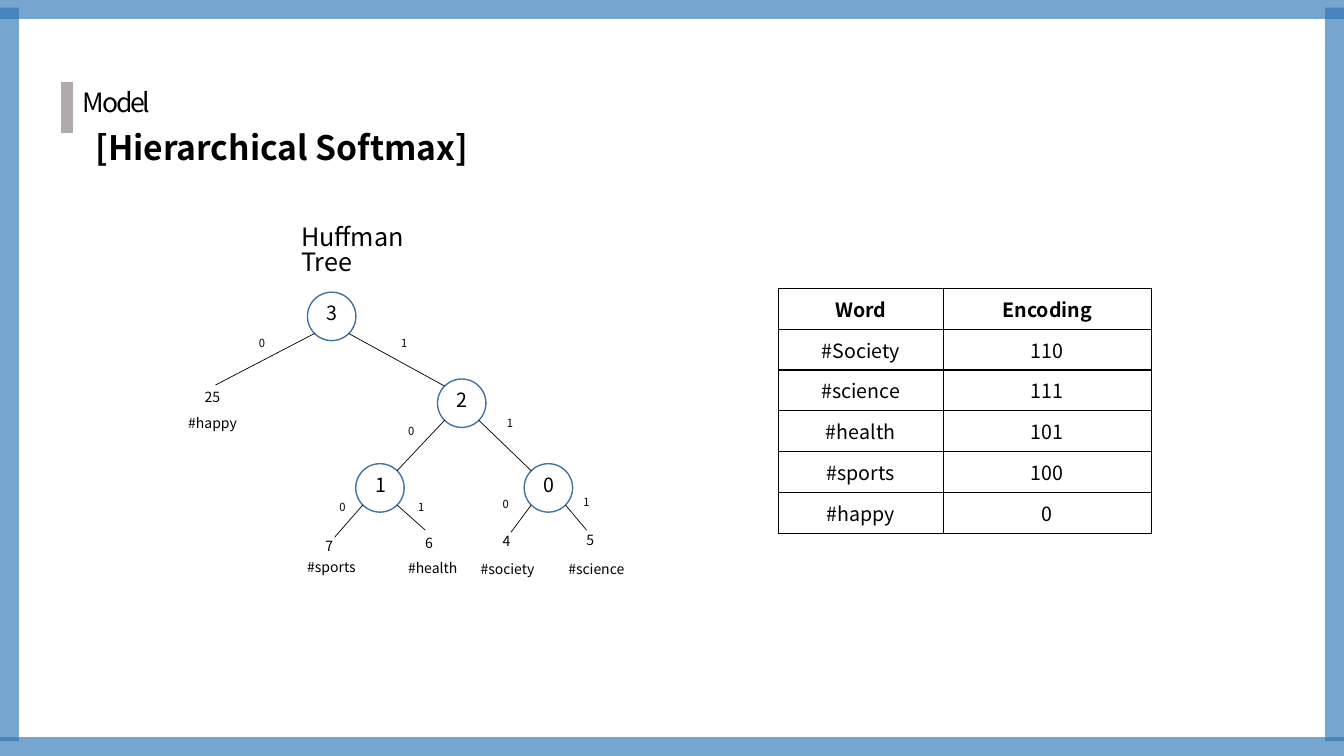
from lxml import etree
from pptx import Presentation
from pptx.dml.color import RGBColor
from pptx.enum.shapes import MSO_CONNECTOR, MSO_SHAPE
from pptx.enum.text import MSO_ANCHOR, PP_ALIGN
from pptx.oxml.ns import qn
from pptx.util import Pt

RECT = MSO_SHAPE.RECTANGLE
OVAL = MSO_SHAPE.OVAL
LINE = MSO_CONNECTOR.STRAIGHT
CENTER = PP_ALIGN.CENTER
MIDDLE = MSO_ANCHOR.MIDDLE

BLACK = RGBColor(0x00, 0x00, 0x00)
BLUE = RGBColor(0x2E, 0x75, 0xB6)
RING = RGBColor(0x43, 0x73, 0x9E)
GRAY = RGBColor(0xAF, 0xAB, 0xAB)

WIDE, HIGH, BAR = 960, 540, 13.5
RADIUS = 17.3
REACH = 12.2  # 45-degree offset from a node's centre to its rim

# name: centre
NODES = {"3": (236.9, 226), "2": (329.8, 288), "1": (271.4, 348.5), "0": (391.7, 348.5)}

# word: count, end of branch, place of count, place of word
LEAVES = {
    "#happy": ("25", (154, 275), (139, 275.8), (127.4, 294.5)),
    "#sports": ("7", (239, 383.8), (225.4, 382.3), (212.4, 397.4)),
    "#health": ("6", (303.8, 378.7), (296.6, 380.2), (284.4, 398.2)),
    "#society": ("4", (365, 380.2), (352, 378.7), (336.2, 398.9)),
    "#science": ("5", (419, 378.7), (411.8, 378), (398.9, 398.9)),
}

# parent, bit, child, place of bit
EDGES = [
    ("3", "0", "#happy", (177.8, 238.3)),
    ("3", "1", "2", (279.4, 238.3)),
    ("2", "0", "1", (284.4, 301)),
    ("2", "1", "0", (355, 295.2)),
    ("1", "0", "#sports", (235.4, 355)),
    ("1", "1", "#health", (291.6, 355)),
    ("0", "0", "#society", (352, 352.8)),
    ("0", "1", "#science", (409.7, 352)),
]

CODES = [
    ("Word", "Encoding"),
    ("#Society", "110"),
    ("#science", "111"),
    ("#health", "101"),
    ("#sports", "100"),
    ("#happy", "0"),
]


class Board:
    """Draws styled elements on one slide, with lengths in points."""

    font = "Noto Sans CJK KR"
    leading = 0.85

    def __init__(self, slide):
        self.shapes = slide.shapes

    def style(self, para, size, bold=False, track=0):
        for run in para.runs:
            run.font.name = self.font
            run.font.size = Pt(size)
            run.font.bold = bold
            run.font.color.rgb = BLACK
            props = run.font._element
            etree.SubElement(props, qn("a:ea")).set("typeface", self.font)
            if track:
                props.set("spc", str(int(track * 100)))

    def text(self, words, x, y, w, h, size, **look):
        frame = self.shapes.add_textbox(Pt(x), Pt(y), Pt(w), Pt(h)).text_frame
        frame.word_wrap = True
        frame.text = words
        para = frame.paragraphs[0]
        para.line_spacing = self.leading
        self.style(para, size, **look)

    def bar(self, x, y, w, h):
        shape = self.shapes.add_shape(RECT, Pt(x), Pt(y), Pt(w), Pt(h))
        shape.shadow.inherit = False
        shape.line.fill.background()
        shape.fill.solid()
        shape.fill.fore_color.rgb = BLUE
        color = shape._element.spPr.find(qn("a:solidFill"))[0]
        etree.SubElement(color, qn("a:alpha")).set("val", "65000")

    def ring(self, x, y):
        side = Pt(2 * RADIUS)
        shape = self.shapes.add_shape(OVAL, Pt(x - RADIUS), Pt(y - RADIUS), side, side)
        shape.shadow.inherit = False
        shape.fill.background()
        shape.line.color.rgb = RING
        shape.line.width = Pt(1)

    def line(self, start, end, color, width):
        ends = [Pt(v) for v in (*start, *end)]
        link = self.shapes.add_connector(LINE, *ends)
        link.line.color.rgb = color
        link.line.width = Pt(width)
        etree.SubElement(link._element.spPr, qn("a:effectLst"))

    def border(self, cell):
        props = cell._tc.get_or_add_tcPr()
        for spot, side in enumerate(("lnL", "lnR", "lnT", "lnB")):
            edge = etree.Element(qn("a:" + side), w=str(Pt(1)))
            fill = etree.SubElement(edge, qn("a:solidFill"))
            etree.SubElement(fill, qn("a:srgbClr")).set("val", str(BLACK))
            props.insert(spot, edge)

    def table(self, rows, x, y, widths, high):
        frame = self.shapes.add_table(
            len(rows), len(widths), Pt(x), Pt(y), Pt(sum(widths)), Pt(high * len(rows)))
        grid = frame.table
        grid.first_row = grid.horz_banding = False
        for col, width in zip(grid.columns, widths):
            col.width = Pt(width)
        for r, row in enumerate(rows):
            grid.rows[r].height = Pt(high)
            for c, words in enumerate(row):
                cell = grid.cell(r, c)
                cell.fill.background()
                cell.vertical_anchor = MIDDLE
                cell.text_frame.text = words
                para = cell.text_frame.paragraphs[0]
                para.alignment = CENTER
                self.style(para, 14, bold=r == 0)
                self.border(cell)


def draw_tree(board):
    for x, y in NODES.values():
        board.ring(x, y)
    for top, bit, child, place in EDGES:
        turn = -1 if bit == "0" else 1
        x, y = NODES[top]
        if child in NODES:
            cx, cy = NODES[child]
            end = cx - turn * REACH, cy - REACH
        else:
            end = LEAVES[child][1]
        board.line((x + turn * REACH, y + REACH), end, BLACK, 0.5)
        board.text(bit, *place, 30, 26, 8)
    for name, (x, y) in NODES.items():
        board.text(name, x - 10.5, y - 12, 35, 38, 14)
    for word, (count, _, spot, place) in LEAVES.items():
        board.text(count, *spot, 40, 30, 10)
        board.text(word, *place, 80, 30, 10)


def main():
    deck = Presentation()
    deck.slide_width, deck.slide_height = Pt(WIDE), Pt(HIGH)
    board = Board(deck.slides.add_slide(deck.slide_layouts[6]))
    for y in (HIGH - BAR, 0):
        board.bar(0, y, WIDE, BAR)
    for x in (0, WIDE - BAR):
        board.bar(x, 5.5, BAR, 524)
    board.line((48, 95), (48, 58.5), GRAY, 8.5)
    board.text("Model", 52, 61, 75, 30, 19, track=-1.5)
    board.text("[Hierarchical Softmax]", 61, 91.5, 442, 36, 24, bold=True)
    board.text("Huffman Tree", 208, 157.7, 115, 52, 18)
    draw_tree(board)
    board.table(CODES, 555.8, 206, (118, 148.5), 29.16)
    deck.save("out.pptx")


if __name__ == "__main__":
    main()
